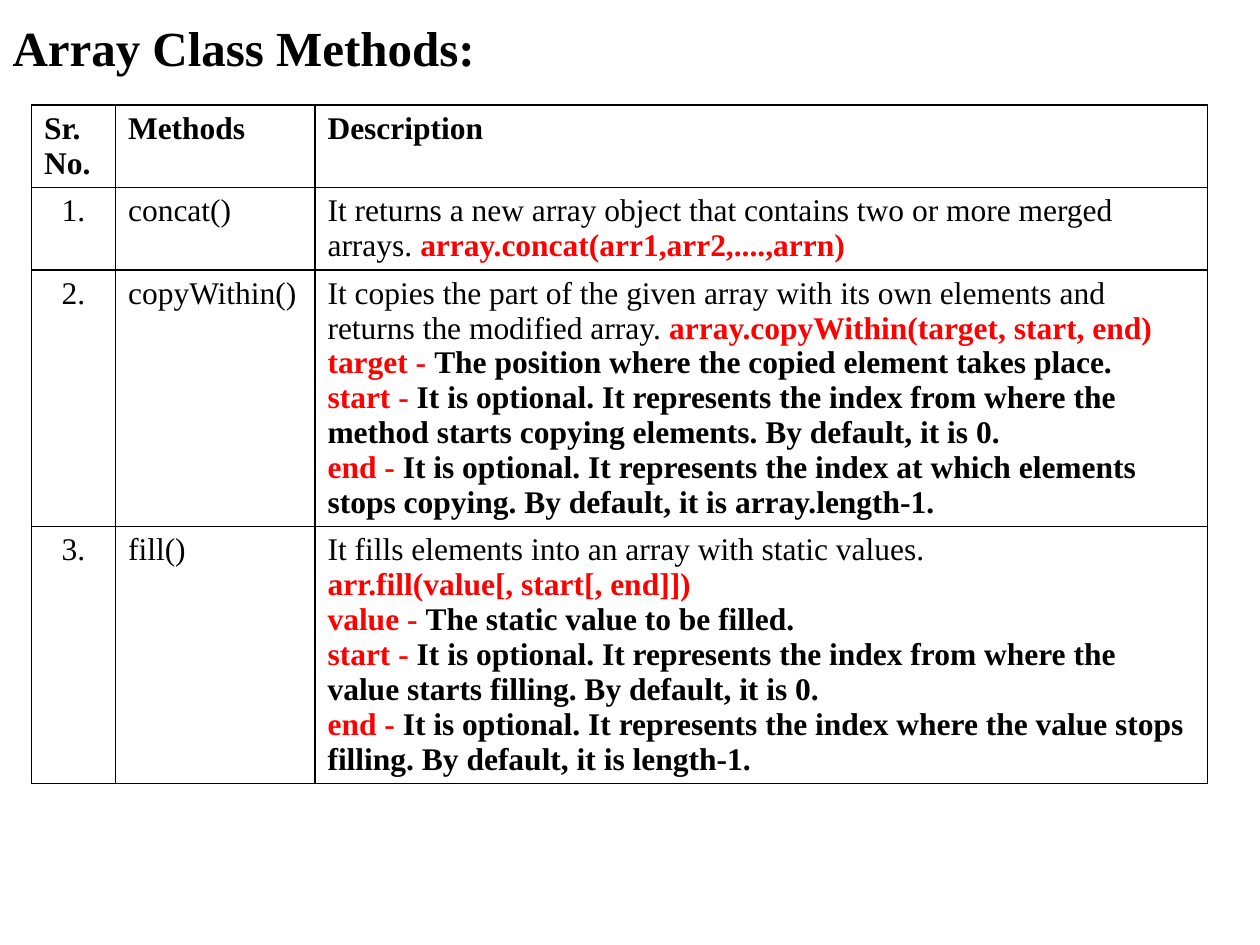
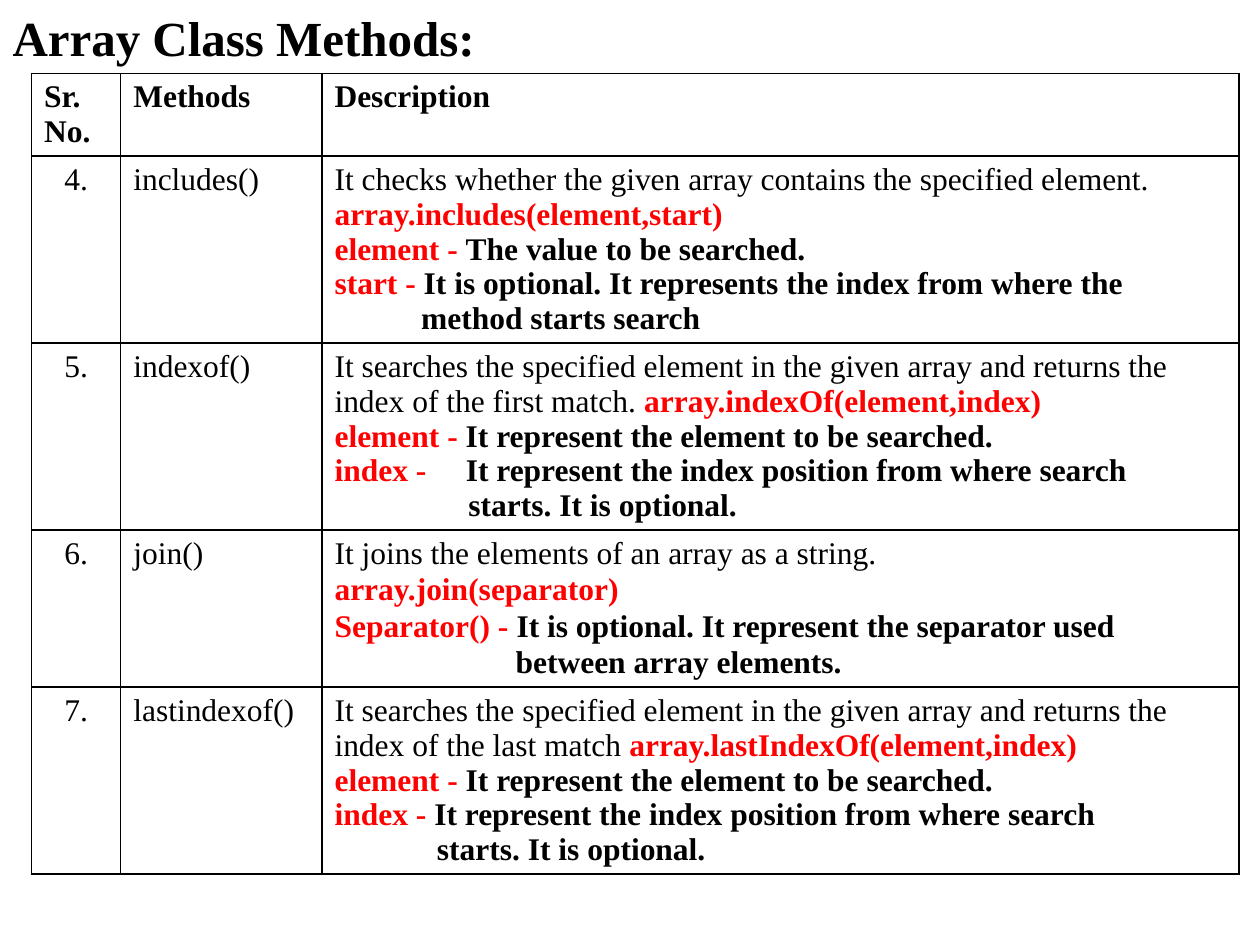
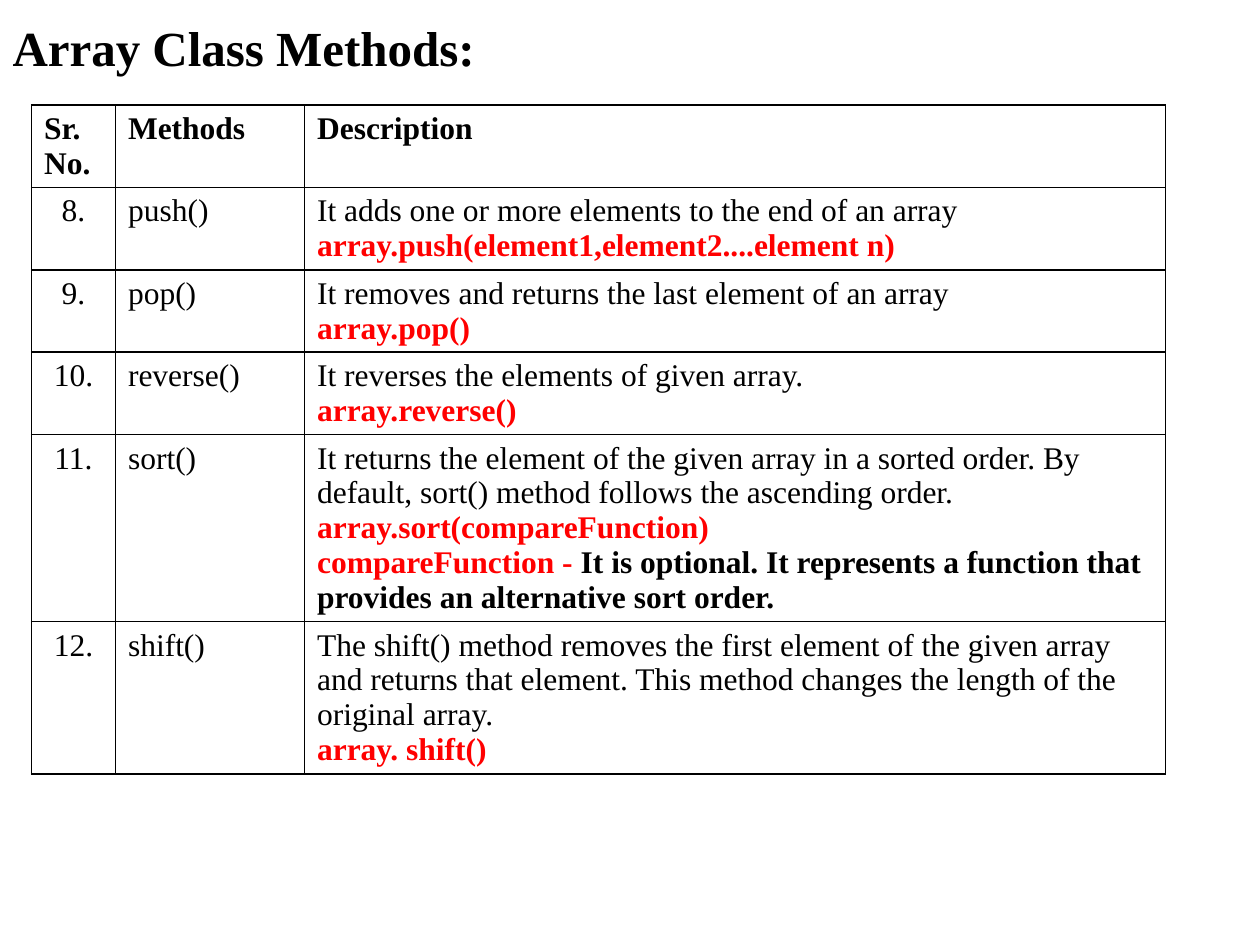
from lxml.etree import SubElement
from pptx import Presentation
from pptx.dml.color import RGBColor
from pptx.enum.text import MSO_ANCHOR as Anchor, MSO_AUTO_SIZE as AutoSize, PP_ALIGN as Align
from pptx.oxml.ns import qn
from pptx.util import Pt

# Content
TITLE = "Array Class Methods:"
HEADINGS = ("Sr. No.", "Methods", "Description")
INLINE, BELOW = True, False  # where the syntax stands relative to the summary

# Method: name, summary, syntax, syntax place, parameters.
# A parameter is (name, meaning); a number in place of the name indents a continuation line.
PAGES = [
    {"title_height": 42, "table_top": 60, "columns": (48, 114, 510), "methods": [
        ("concat()", "It returns a new array object that contains two or more merged arrays. ",
         "array.concat(arr1,arr2,....,arrn)", INLINE, []),
        ("copyWithin()", "It copies the part of the given array with its own elements and "
         "returns the modified array. ",
         "array.copyWithin(target, start, end)", INLINE, [
             ("target - ", "The position where the copied element takes place."),
             ("start - ", "It is optional. It represents the index from where the method "
              "starts copying elements. By default, it is 0."),
             ("end - ", "It is optional. It represents the index at which elements stops "
              "copying. By default, it is array.length-1.")]),
        ("fill()", "It fills elements into an array with static values.",
         "arr.fill(value[, start[, end]])", BELOW, [
             ("value - ", "The static value to be filled."),
             ("start - ", "It is optional. It represents the index from where the value "
              "starts filling. By default, it is 0."),
             ("end - ", "It is optional. It represents the index where the value stops "
              "filling. By default, it is length-1.")]),
    ]},
    {"title_height": 30, "table_top": 42, "columns": (51, 115, 524), "methods": [
        ("includes()", "It checks whether the given array contains the specified element.",
         "array.includes(element,start)", BELOW, [
             ("element - ", "The value to be searched."),
             ("start - ", "It is optional. It represents the index from where the"),
             (49.5, "method starts search")]),
        ("indexof()", "It searches the specified element in the given array and returns "
         "the index of the first match. ",
         "array.indexOf(element,index)", INLINE, [
             ("element - ", "It represent the element to be searched."),
             ("index -\t", "It represent the index position from where search"),
             (76.5, "starts. It is optional.")]),
        ("join()", "It joins the elements of an array as a string.",
         "array.join(separator)", BELOW, [
             ("Separator() - ", "It is optional. It represent the separator used"),
             (103.5, "between array elements.")]),
        ("lastindexof()", "It searches the specified element in the given array and returns "
         "the index of the last match ",
         "array.lastIndexOf(element,index)", INLINE, [
             ("element - ", "It represent the element to be searched."),
             ("index - ", "It represent the index position from where search"),
             (58.5, "starts. It is optional.")]),
    ]},
    {"title_height": 42, "table_top": 60, "columns": (48, 108, 492), "methods": [
        ("push()", "It adds one or more elements to the end of an array",
         "array.push(element1,element2....element n)", BELOW, []),
        ("pop()", "It removes and returns the last element of an array",
         "array.pop()", BELOW, []),
        ("reverse()", "It reverses the elements of given array.",
         "array.reverse()", BELOW, []),
        ("sort()", "It returns the element of the given array in a sorted order. By "
         "default, sort() method follows the ascending order.",
         "array.sort(compareFunction)", BELOW, [
             ("compareFunction - ", "It is optional. It represents a function that "
              "provides an alternative sort order.")]),
        ("shift()", "The shift() method removes the first element of the given array and "
         "returns that element. This method changes the length of the original array.",
         "array. shift()", BELOW, []),
    ]},
]

# Shared look
FONT = "Times New Roman"
BLACK, RED, WHITE = "000000", "FF0000", "FFFFFF"
TITLE_SIZE, TEXT_SIZE = 28, 18
TITLE_TOP, TITLE_WIDTH = 6, 426
TABLE_LEFT, ROW_HEIGHT, BORDER = 18, 29.5, 1
MEANING_TAB = 75
LOOSE_GAPS = {"join()": 0.9}  # extra space above syntax and parameters


def color(value):
    return RGBColor.from_string(value)


def add_run(paragraph, text, size=TEXT_SIZE, ink=BLACK, bold=False):
    run = paragraph.add_run()
    run.text = text
    run.font.name, run.font.size, run.font.bold = FONT, Pt(size), bold
    run.font.color.rgb = color(ink)


def add_tab_stop(paragraph, position):
    stops = SubElement(paragraph._p.get_or_add_pPr(), qn("a:tabLst"))
    SubElement(stops, qn("a:tab"), pos=str(Pt(position)), algn="l")


def style_cell(cell):
    properties = cell._tc.get_or_add_tcPr()
    for side in ("lnL", "lnR", "lnT", "lnB"):
        line = SubElement(properties, qn(f"a:{side}"), w=str(Pt(BORDER)))
        SubElement(SubElement(line, qn("a:solidFill")), qn("a:srgbClr"), val=BLACK)
    cell.fill.solid()
    cell.fill.fore_color.rgb = color(WHITE)


def add_title(slide, height):
    title = slide.shapes.title
    title.left, title.top, title.width, title.height = 0, Pt(TITLE_TOP), Pt(TITLE_WIDTH), Pt(height)
    frame = title.text_frame
    frame.auto_size, frame.vertical_anchor = AutoSize.NONE, Anchor.MIDDLE
    frame.paragraphs[0].alignment = Align.LEFT
    add_run(frame.paragraphs[0], TITLE, TITLE_SIZE, bold=True)


def describe(frame, summary, syntax, inline, parameters, gap):
    def next_line():
        paragraph = frame.add_paragraph()
        if gap:
            paragraph.space_before = Pt(gap)
        return paragraph

    opening = frame.paragraphs[0]
    add_run(opening, summary)
    add_run(opening if inline else next_line(), syntax, ink=RED, bold=True)
    for name, meaning in parameters:
        paragraph = next_line()
        if isinstance(name, str):
            if "\t" in name:
                add_tab_stop(paragraph, MEANING_TAB)
            add_run(paragraph, name, ink=RED, bold=True)
        else:
            paragraph._p.get_or_add_pPr().set("marL", str(Pt(name)))
        add_run(paragraph, meaning, bold=True)


def add_methods(slide, page, first_number):
    columns, methods = page["columns"], page["methods"]
    count = len(methods) + 1
    table = slide.shapes.add_table(count, len(columns), Pt(TABLE_LEFT), Pt(page["table_top"]),
                                   Pt(sum(columns)), Pt(ROW_HEIGHT * count)).table
    table.first_row = table.horz_banding = False
    for column, width in zip(table.columns, columns):
        column.width = Pt(width)
    for cell in table.iter_cells():
        style_cell(cell)

    # Heading row
    for cell, heading in zip(table.rows[0].cells, HEADINGS):
        add_run(cell.text_frame.paragraphs[0], heading, bold=True)

    # One row for each method
    for row, (name, *description) in enumerate(methods, 1):
        number, method, details = (cell.text_frame for cell in table.rows[row].cells)
        number.paragraphs[0].alignment = Align.CENTER
        add_run(number.paragraphs[0], f"{first_number + row - 1}.")
        add_run(method.paragraphs[0], name)
        describe(details, *description, LOOSE_GAPS.get(name, 0))


def main():
    deck = Presentation()
    deck.slide_width, deck.slide_height = Pt(720), Pt(540)
    title_only = deck.slide_layouts[5]
    first_number = 1
    for page in PAGES:
        slide = deck.slides.add_slide(title_only)
        add_title(slide, page["title_height"])
        add_methods(slide, page, first_number)
        first_number += len(page["methods"])
    deck.save("out.pptx")


if __name__ == "__main__":
    main()
